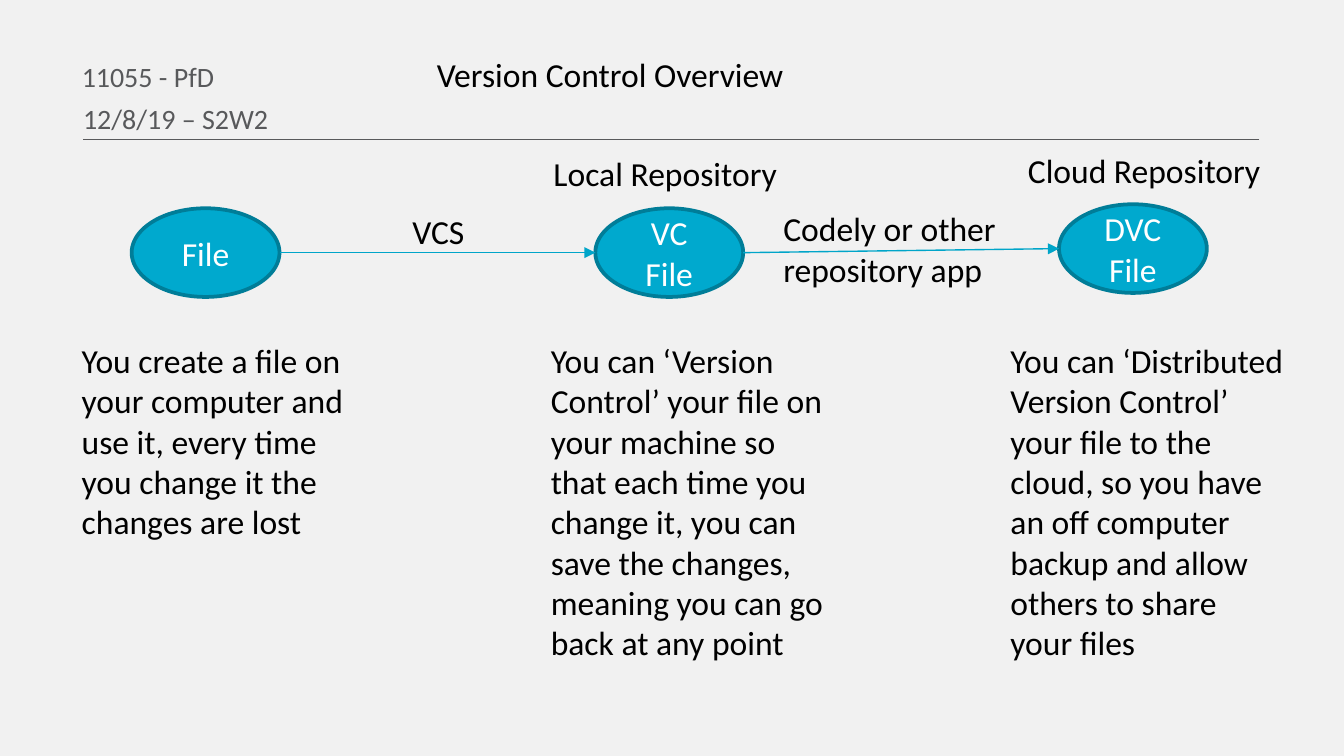
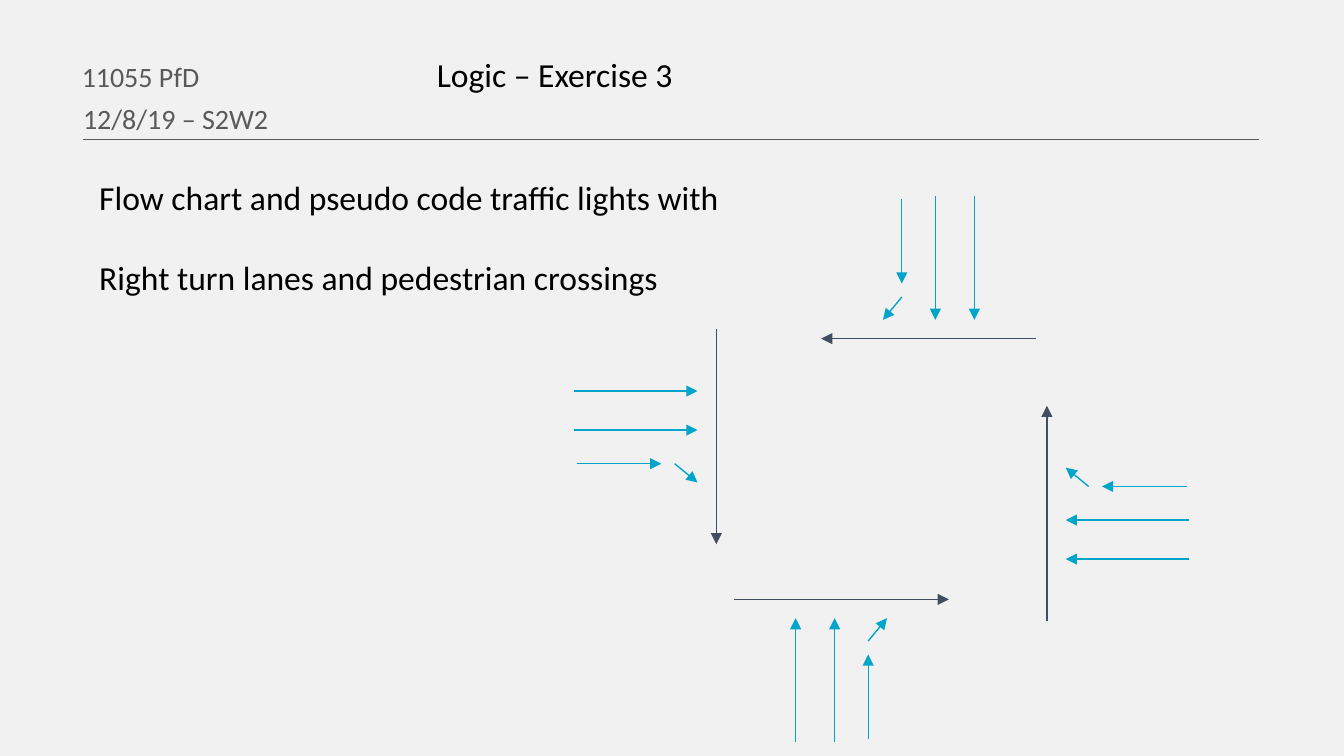
"""Two class slides: a version control flow and a traffic light exercise."""
from dataclasses import dataclass

from lxml import etree
from pptx import Presentation
from pptx import util as u
from pptx.dml.color import RGBColor
from pptx.enum import shapes, text
from pptx.oxml.ns import qn


@dataclass(frozen=True)
class Theme:
    """Colours, font and type sizes of the deck."""
    back: str = "F1F1F1"
    ink: str = "000000"
    grey: str = "58595B"
    white: str = "FFFFFF"
    fill: str = "00A9CE"
    edge: str = "007D98"
    lane: str = "00A5C9"
    walk: str = "414D61"
    font: str = "Calibri"
    body: int = 18
    small: int = 15
    thin: float = 0.75
    thick: float = 2


T = Theme()
TOP, MID = text.MSO_ANCHOR.TOP, text.MSO_ANCHOR.MIDDLE
LEFT, MIDST = text.PP_ALIGN.LEFT, text.PP_ALIGN.CENTER


def rgb(code):
    """Turn a hex code into a colour."""
    return RGBColor.from_string(code)


def inches(*vals):
    """Turn numbers into lengths."""
    return [u.Inches(v) for v in vals]


def style(item, **vals):
    """Set each given attribute on the item."""
    for name, val in vals.items():
        setattr(item, name, val)


def write(shape, lines, size=T.body, color=T.ink, align=LEFT, anchor=TOP, gap=0):
    """Fill a shape with one paragraph per line, a gap between them."""
    frame = shape.text_frame
    style(frame, text="\n".join(lines), word_wrap=True,
          vertical_anchor=anchor, auto_size=text.MSO_AUTO_SIZE.NONE)
    for i, para in enumerate(frame.paragraphs):
        style(para, alignment=align, space_before=u.Pt(gap if i else 0))
        for run in para.runs:
            style(run.font, name=T.font, size=u.Pt(size), bold=False)
            run.font.color.rgb = rgb(color)


def label(slide, box, *lines, **look):
    """Place a text box in the given box."""
    write(slide.shapes.add_textbox(*inches(*box)), lines, **look)


def line(host, start, end, color, arrow=True):
    """Draw a thin straight line, with an arrowhead unless told otherwise."""
    link = host.shapes.add_connector(
        shapes.MSO_CONNECTOR.STRAIGHT, *inches(*start, *end))
    link.line.width = u.Pt(T.thin)
    link.line.color.rgb = rgb(color)
    if arrow:
        etree.SubElement(link.line._get_or_add_ln(), qn("a:tailEnd"), type="triangle")
    etree.SubElement(link._element.spPr, qn("a:effectLst"))
    return link


def oval(slide, box, lines):
    """Draw a node of the flow with centred text."""
    node = slide.shapes.add_shape(shapes.MSO_SHAPE.OVAL, *inches(*box))
    node.shadow.inherit = False
    node.fill.solid()
    node.fill.fore_color.rgb = rgb(T.fill)
    node.line.color.rgb = rgb(T.edge)
    node.line.width = u.Pt(T.thick)
    write(node, lines, color=T.white, align=MIDST, anchor=MID)


def header(deck, title, width, course):
    """Add a slide with its title, course and date."""
    slide = deck.slides.add_slide(deck.slide_layouts[5])
    head = slide.shapes.title
    left, top, wide, high = inches(3.15, 0.35, width, 0.4)
    style(head, left=left, top=top, width=wide, height=high)
    write(head, [title])
    rows = ((0.51, 0.39, 6.98, 0.25, course),
            (0.52, 0.71, 6.97, 0.23, "12/8/19 – S2W2"))
    for *box, words in rows:
        label(slide, box, words, size=T.small, color=T.grey)
    return slide


def flow(slide, box):
    """Draw three nodes at equal steps, joined by labelled arrows."""
    x, y, wide, high = box
    size, lift = (1.1, 0.66), 0.03
    step = (wide - size[0]) / 2
    nodes = (["File"], ["VC File"], ["DVC", "File"])
    tops = (y + lift, y + lift, y)
    for i, (lines, top) in enumerate(zip(nodes, tops)):
        oval(slide, (x + i * step, top, *size), lines)
    for i in range(2):
        start = (x + i * step + size[0], tops[i] + size[1] / 2)
        end = (x + (i + 1) * step, tops[i + 1] + size[1] / 2)
        line(slide, start, end, T.lane)
    label(slide, (x + 1.99, y, 0.9, 0.4), "VCS")
    label(slide, (x + 4.75, y - 0.02, 1.81, 0.71), "Codely or other repository app")
    label(slide, (x + 3.04, y - 0.43, 1.97, 0.4), "Local Repository")
    label(slide, (x + 6.57, y - 0.45, 1.97, 0.4), "Cloud Repository")


def notes(slide, box):
    """Explain each node in a column below it."""
    x, y, wide, high = box
    cols = (
        (0, 1.62, "You create a file on your computer and use it, every time "
                  "you change it the changes are lost"),
        (3.49, high, "You can ‘Version Control’ your file on your machine so "
                     "that each time you change it, you can save the changes, "
                     "meaning you can go back at any point"),
        (6.91, high, "You can ‘Distributed Version Control’ your file to the "
                     "cloud, so you have an off computer backup and allow "
                     "others to share your files"),
    )
    for dx, tall, words in cols:
        label(slide, (x + dx, y, wide - 6.91, tall), words)


def arm(slide, x, y, turn):
    """Draw a crossing and its lanes from a corner, after quarter turns."""
    group = slide.shapes.add_group_shape()
    near, far = 0.14, 1.06
    marks = (
        ((0.46, far), (0.46, near), T.lane),
        ((0.75, far), (0.75, near), T.lane),
        ((1, 1.04), (1, 0.41), T.lane),
        ((1, 0.31), (1.14, near), T.lane),
        ((0, 0), (1.6, 0), T.walk),
    )

    def spin(point):
        a, b = point
        for _ in range(turn):
            a, b = -b, a
        return x + a, y + b

    for start, end, color in marks:
        line(group, spin(start), spin(end), color)


def cross(slide, box):
    """Draw a junction of four arms, each a quarter turn on."""
    x, y, wide, high = box
    depth = 1.06
    corners = ((1.19, high - depth), (depth, 0.99),
               (3.44, depth), (wide - depth, 3.16))
    for turn, (dx, dy) in enumerate(corners):
        arm(slide, x + dx, y + dy, turn)


def share(deck, slide):
    """Set the background, and move the header rule into the layout."""
    back = deck.slide_master.background.fill
    back.solid()
    back.fore_color.rgb = rgb(T.back)
    rule = line(slide, (9.37, 1.04), (0.62, 1.04), T.grey, arrow=False)
    slide.slide_layout.shapes._spTree.append(rule._element)


def main():
    """Build and save the deck."""
    deck = Presentation()
    wide = u.Inches(10)
    style(deck, slide_width=wide, slide_height=wide * 9 // 16)

    slide = header(deck, "Version Control Overview", 2.83, "11055 - PfD")
    share(deck, slide)
    flow(slide, (0.98, 1.52, 8, 0.69))
    notes(slide, (0.51, 2.48, 9.15, 2.52))

    slide = header(deck, "Logic – Exercise 3", 3.46, "11055 PfD")
    label(slide, (0.64, 1.27, 5.33, 1.01),
          "Flow chart and pseudo code traffic lights with",
          "Right turn lanes and pedestrian crossings", gap=21)
    cross(slide, (4.27, 1.46, 4.58, 4.06))

    deck.save("out.pptx")


main()
